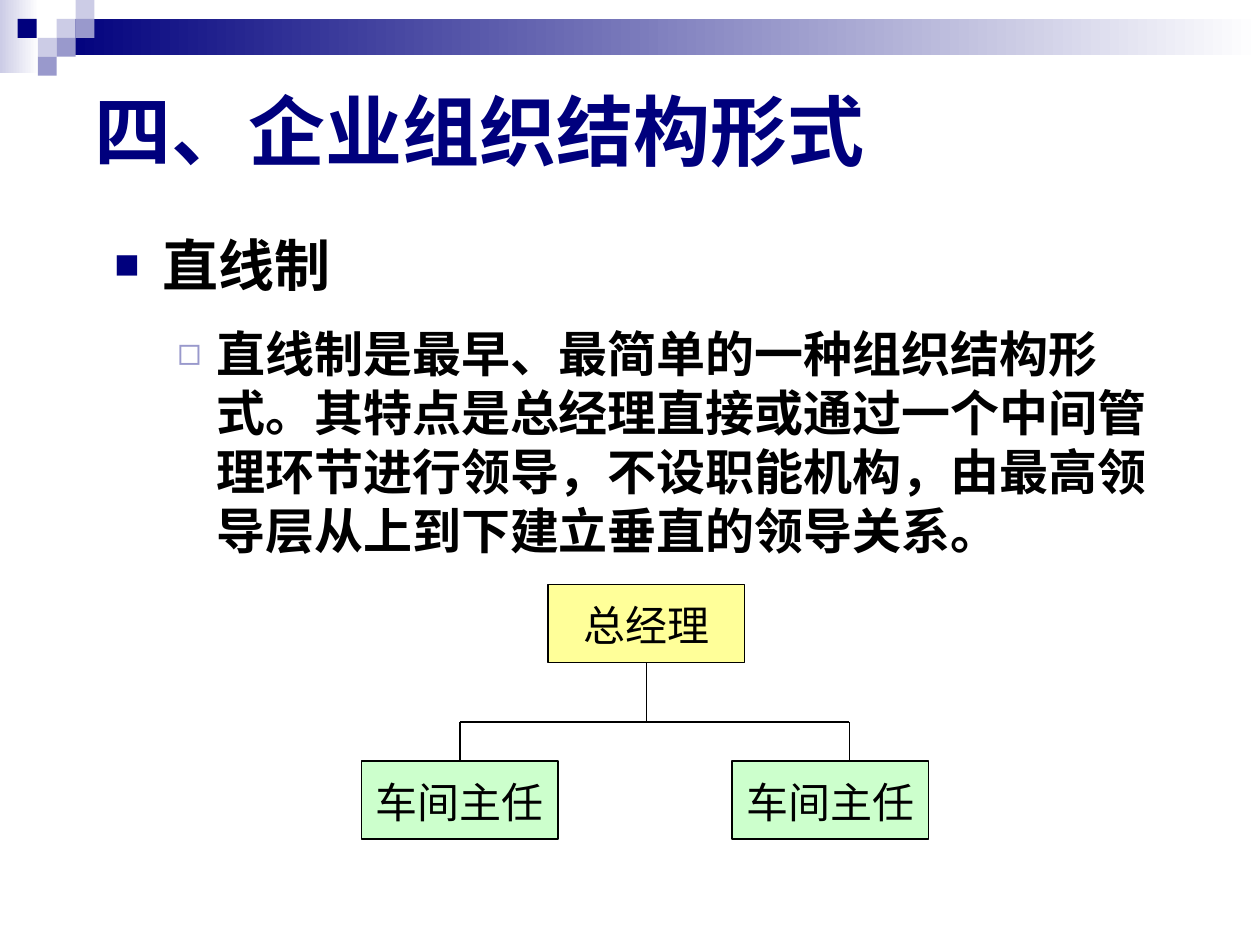
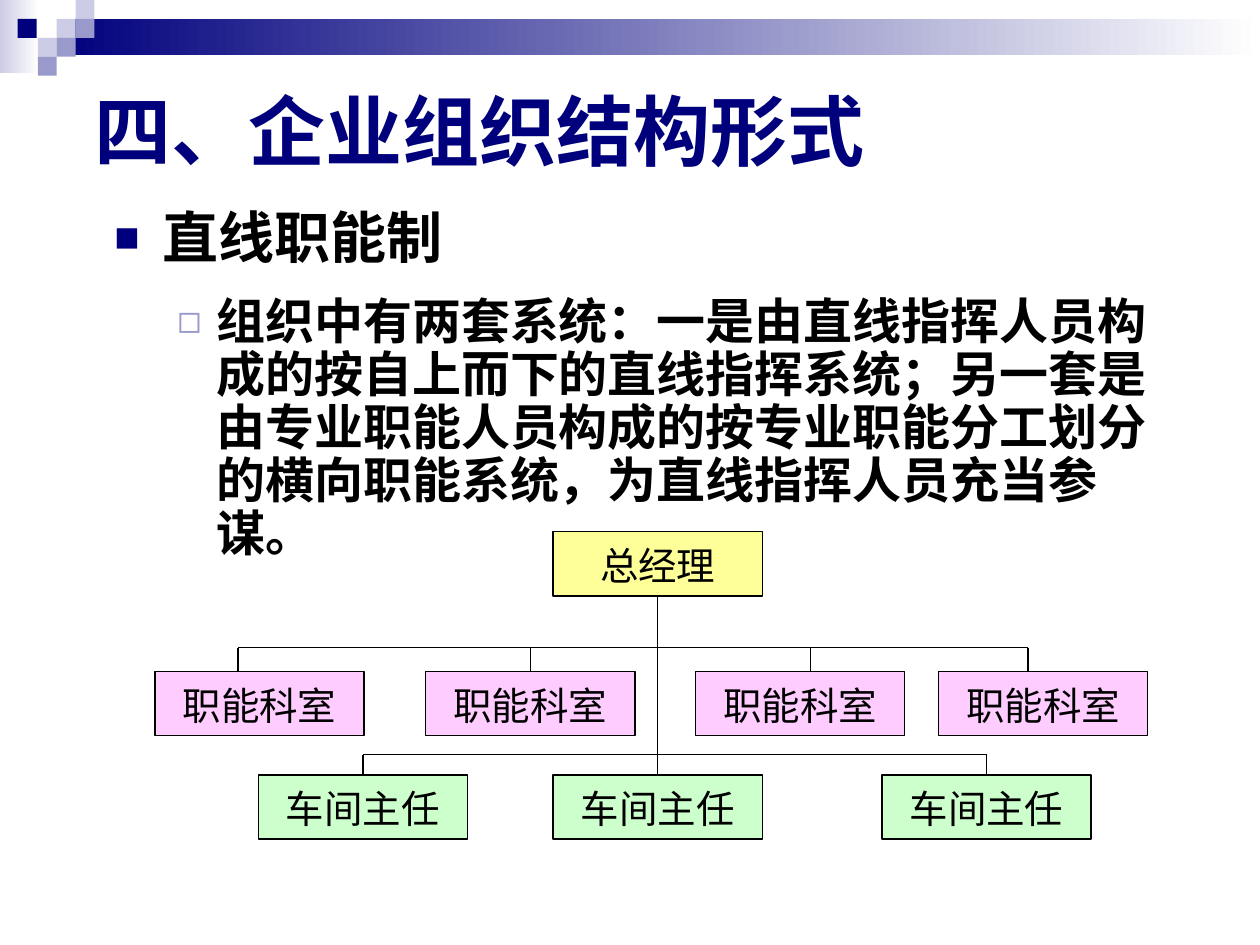
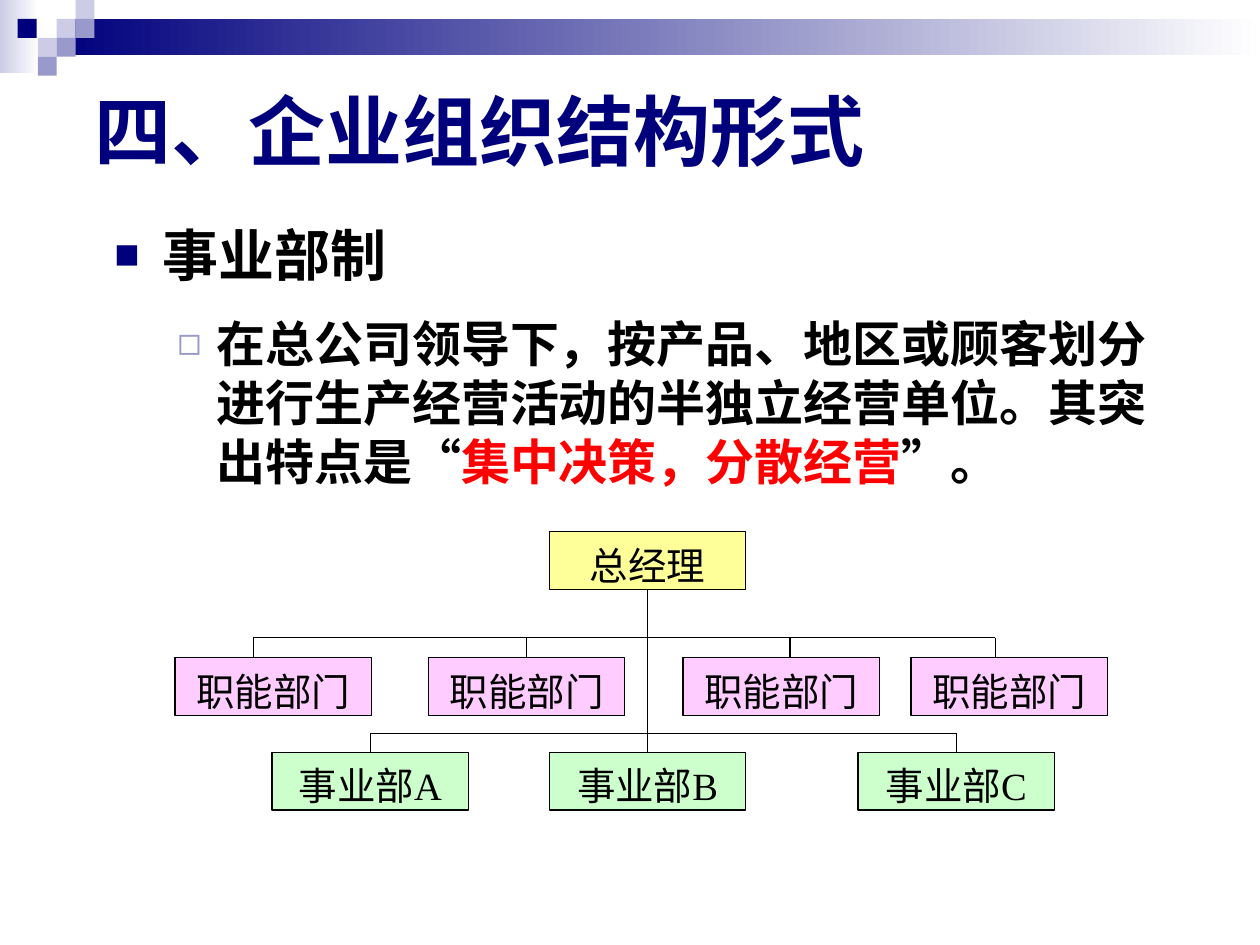
from dataclasses import dataclass

from lxml.etree import SubElement
from pptx import Presentation
from pptx.dml.color import RGBColor
from pptx.enum.shapes import MSO_CONNECTOR, MSO_SHAPE
from pptx.enum.text import MSO_ANCHOR, PP_ALIGN
from pptx.oxml.ns import qn
from pptx.util import Emu, Pt

EMU_PER_PX = 9144  # 100 px to the inch
NAVY, LAVENDER, PALE_LAVENDER = "00007D", "9999CC", "CCCCE6"
WHITE, BLACK, RED = "FFFFFF", "000000", "FF0000"
YELLOW, PINK, GREEN = "FFFF99", "FFCCFF", "CCFFCC"
HEADING = "四、企业组织结构形式"
TITLE_ONLY = 5
BOTTOM, TOP = 2, 0
SNAP = 2

MOSAIC = [
    (45, 15, PALE_LAVENDER), (60, 0, PALE_LAVENDER), (60, 15, LAVENDER),
    (30, 30, PALE_LAVENDER), (14, 15, NAVY), (45, 30, LAVENDER), (30, 45, LAVENDER),
]


@dataclass
class BoxStyle:
    width: int
    height: int
    top_inset: int
    size: int


@dataclass
class Row:
    """Boxes hanging from a bar; a drop of None is reached by the stem instead."""
    labels: list
    lefts: list
    top: int
    fill: str
    bar_y: int
    drops: list


def px(length):
    return Emu(length * EMU_PER_PX)


def rgb(color):
    return RGBColor.from_string(color)


def add_run(paragraph, text, font, size, color, bold=False):
    run = paragraph.add_run()
    run.text = text
    run.font.name = font
    run.font.size = Pt(size)
    run.font.bold = bold
    run.font.color.rgb = rgb(color)


def add_rectangle(slide, left, top, width, height):
    rectangle = slide.shapes.add_shape(
        MSO_SHAPE.RECTANGLE, px(left), px(top), px(width), px(height))
    rectangle.shadow.inherit = False
    return rectangle


def add_tile(slide, left, top, width, height, color, fading=False):
    tile = add_rectangle(slide, left, top, width, height)
    tile.line.fill.background()
    if fading:
        tile.fill.gradient()
        tile.fill.gradient_angle = 180
        for stop, stop_color in zip(tile.fill.gradient_stops, (WHITE, color)):
            stop.color.rgb = rgb(stop_color)
    else:
        tile.fill.solid()
        tile.fill.fore_color.rgb = rgb(color)
    return tile


def add_band_to_layout(layout, slide):
    """Draw the top band on a slide, then move it to the layout all slides share."""
    for placeholder in list(layout.placeholders):
        if placeholder.placeholder_format.idx != 0:
            layout.shapes.element.remove(placeholder.element)
    tiles = [add_tile(slide, 0, 0, 31, 58, PALE_LAVENDER, fading=True),
             add_tile(slide, 45, 15, 955, 29, NAVY, fading=True)]
    tiles += [add_tile(slide, left, top, 15, 15, color) for left, top, color in MOSAIC]
    for tile in tiles:
        layout.shapes.element.append(tile.element)


def add_title(slide):
    title = slide.shapes.title
    title.left, title.top, title.width, title.height = px(65), px(28), px(900), px(150)
    title.text_frame.vertical_anchor = MSO_ANCHOR.MIDDLE
    paragraph = title.text_frame.paragraphs[0]
    paragraph.alignment = PP_ALIGN.LEFT
    add_run(paragraph, HEADING, "Arial", 44, NAVY, bold=True)


def set_bullet(paragraph, char, color, percent, indent, hanging):
    """Give the paragraph a bullet, and keep its punctuation inside the margin."""
    properties = paragraph._p.get_or_add_pPr()
    properties.set("marL", str(px(indent)))
    properties.set("indent", str(px(-hanging)))
    properties.set("hangingPunct", "0")
    bullet_color = SubElement(properties, qn("a:buClr"))
    SubElement(bullet_color, qn("a:srgbClr"), val=color)
    SubElement(properties, qn("a:buSzPct"), val=str(percent * 1000))
    SubElement(properties, qn("a:buFont"), typeface="Arial")
    SubElement(properties, qn("a:buChar"), char=char)


def space_paragraph(paragraph, gap, line_spacing):
    paragraph.space_before = paragraph.space_after = Pt(gap)
    paragraph.line_spacing = line_spacing


def add_explanation(slide, top, height, form, description, line_spacing=1.0):
    """Add the form's name and its description, given as (text, colour) runs."""
    frame = slide.shapes.add_textbox(px(81), px(top), px(876), px(height)).text_frame
    frame.word_wrap = True
    name = frame.paragraphs[0]
    space_paragraph(name, 8, line_spacing)
    set_bullet(name, "■", NAVY, 75, 38, 38)
    add_run(name, form, "Arial", 32, BLACK, bold=True)

    detail = frame.add_paragraph()
    detail.level = 1
    space_paragraph(detail, 7, line_spacing)
    set_bullet(detail, "◻", LAVENDER, 80, 81, 31)
    for text, color in description:
        add_run(detail, text, "Arial", 28, color, bold=True)


def add_box(slide, style, left, top, fill, label):
    box = add_rectangle(slide, left, top, style.width, style.height)
    box.fill.solid()
    box.fill.fore_color.rgb = rgb(fill)
    box.line.color.rgb = rgb(BLACK)
    box.line.width = Pt(0.75)
    frame = box.text_frame
    frame.vertical_anchor = MSO_ANCHOR.TOP
    frame.margin_left = frame.margin_right = frame.margin_bottom = 0
    frame.margin_top = px(style.top_inset)
    paragraph = frame.paragraphs[0]
    paragraph.alignment = PP_ALIGN.CENTER
    add_run(paragraph, label, "Times New Roman", style.size, BLACK)
    return box


def add_line(slide, x1, y1, x2, y2):
    line = slide.shapes.add_connector(MSO_CONNECTOR.STRAIGHT, px(x1), px(y1), px(x2), px(y2))
    line.line.color.rgb = rgb(BLACK)
    line.line.width = Pt(0.75)
    SubElement(line._element.spPr, qn("a:effectLst"))
    return line


def add_row(slide, style, row):
    boxes, drop_xs = [], []
    for label, left, drop in zip(row.labels, row.lefts, row.drops):
        box = add_box(slide, style, left, row.top, row.fill, label)
        boxes.append(box)
        if drop is None:
            continue
        middle = left + style.width // 2
        centred = abs(middle - drop) <= SNAP
        x = middle if centred else drop
        line = add_line(slide, x, row.bar_y, x, row.top)
        if centred:
            line.end_connect(box, TOP)
        drop_xs.append(x)
    add_line(slide, drop_xs[0], row.bar_y, drop_xs[-1], row.bar_y)
    return boxes


def add_organisation(slide, style, manager_left, manager_top, rows):
    manager = add_box(slide, style, manager_left, manager_top, YELLOW, "总经理")
    for row in rows:
        boxes = add_row(slide, style, row)
    x = manager_left + style.width // 2
    last = rows[-1]
    reaches_box = None in last.drops
    stem = add_line(slide, x, manager_top + style.height, x,
                    last.top if reaches_box else last.bar_y)
    stem.begin_connect(manager, BOTTOM)
    if reaches_box:
        stem.end_connect(boxes[last.drops.index(None)], TOP)


def build_line_form(slide):
    add_explanation(slide, 178, 559, "直线制", [
        ("直线制是最早、最简单的一种组织结构形式。其特点是总经理直接或通过一个中间管理环节"
         "进行领导，不设职能机构，由最高领导层从上到下建立垂直的领导关系。", BLACK)])
    workshops = Row(["车间主任"] * 2, [287, 581], 604, GREEN, 573, [363, 674])
    add_organisation(slide, BoxStyle(156, 62, 12, 24), 435, 464, [workshops])


def build_line_functional_form(slide):
    add_explanation(slide, 162, 268, "直线职能制", [
        ("组织中有两套系统：一是由直线指挥人员构成的按自上而下的直线指挥系统；另一套是由专业"
         "职能人员构成的按专业职能分工划分的横向职能系统，为直线指挥人员充当参谋。", BLACK)],
        line_spacing=0.9)
    offices = Row(["职能科室"] * 4, [123, 338, 552, 745], 533, PINK, 514,
                  [189, 420, 643, 816])
    workshops = Row(["车间主任"] * 3, [205, 439, 700], 615, GREEN, 599, [288, None, 781])
    add_organisation(slide, BoxStyle(166, 51, 8, 22), 439, 422, [offices, workshops])


def build_division_form(slide):
    add_explanation(slide, 170, 276, "事业部制", [
        ("在总公司领导下，按产品、地区或顾客划分进行生产经营活动的半独立经营单位。"
         "其突出特点是“", BLACK),
        ("集中决策，分散经营", RED),
        ("”。", BLACK)])
    departments = Row(["职能部门"] * 4, [139, 340, 542, 723], 522, PINK, 506,
                      [201, 418, 627, 790])
    divisions = Row([f"事业部{letter}" for letter in "ABC"], [216, 436, 681], 597, GREEN,
                    582, [294, None, 757])
    add_organisation(slide, BoxStyle(156, 46, 8, 22), 436, 422, [departments, divisions])


def main():
    deck = Presentation()
    deck.slide_width, deck.slide_height = px(1000), px(750)
    layout = deck.slide_layouts[TITLE_ONLY]
    builders = [build_line_form, build_line_functional_form, build_division_form]
    for number, build in enumerate(builders):
        slide = deck.slides.add_slide(layout)
        if number == 0:
            add_band_to_layout(layout, slide)
        add_title(slide)
        build(slide)
    deck.save("out.pptx")


if __name__ == "__main__":
    main()
